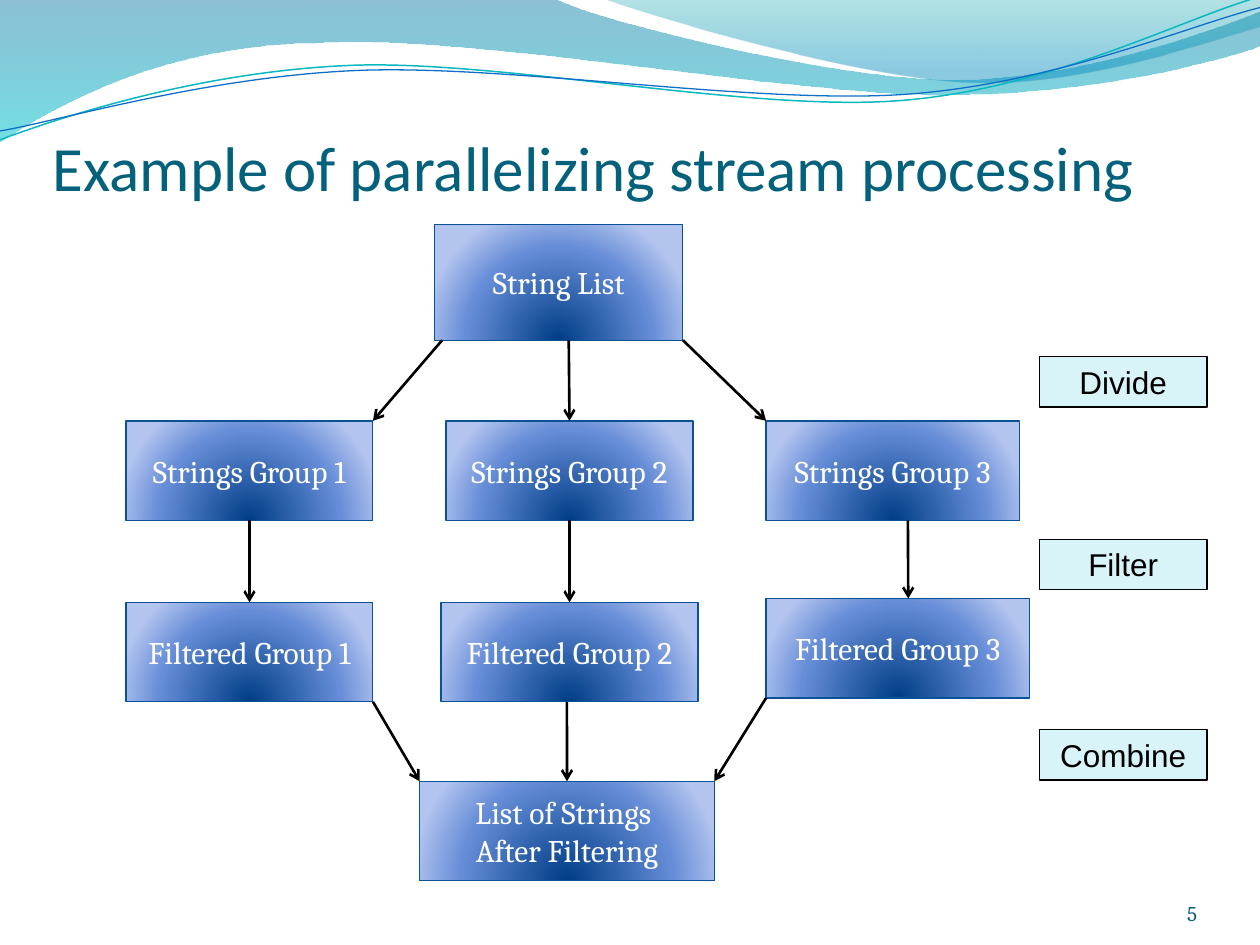
from lxml import etree
from pptx import Presentation
from pptx.dml.color import RGBColor
from pptx.enum.shapes import MSO_CONNECTOR, MSO_SHAPE
from pptx.enum.text import MSO_ANCHOR, PP_ALIGN
from pptx.oxml.ns import qn
from pptx.util import Inches, Pt

RECT, STRAIGHT = MSO_SHAPE.RECTANGLE, MSO_CONNECTOR.STRAIGHT
LEFT, CENTER, RIGHT = PP_ALIGN.LEFT, PP_ALIGN.CENTER, PP_ALIGN.RIGHT
TOP, MIDDLE, BOTTOM = MSO_ANCHOR.TOP, MSO_ANCHOR.MIDDLE, MSO_ANCHOR.BOTTOM

WIDTH, HEIGHT = Inches(10), Inches(7.5)
COLUMNS = 10
CELL = WIDTH // COLUMNS

NODE_STOPS = [(0, "003D87", 100), (68, "668DD7", 100), (100, "B3C4EF", 100)]

WAVES = [
    dict(points=[(0, -0.01), (4.4, -0.01), (4.76, 0.17, 6.64, 0.63, 7.58, 0.63),
                 (8.53, 0.63, 9.58, 0.26, 10, 0.09), (10.01, 0.36),
                 (9.83, 0.44, 8.7, 0.76, 7.46, 0.75),
                 (6.22, 0.75, 3.82, 0.28, 2.57, 0.34),
                 (1.29, 0.35, 0.46, 0.83, -0.01, 1.13)],
         stops=[(0, "0074A1", 45), (100, "00C6CF", 55)]),
    dict(points=[(4.79, -0.01), (5.09, 0.11, 6.82, 0.62, 7.69, 0.65),
                 (8.56, 0.69, 9.61, 0.32, 10, 0.21), (10, 0)],
         stops=[(0, "00A1A9", 30), (80, "008BBF", 45)]),
    dict(points=[(0, 1.11), (0.48, 0.93, 1.58, 0.57, 2.77, 0.52),
                 (3.95, 0.47, 5.93, 0.89, 7.13, 0.8),
                 (8.33, 0.71, 9.38, 0.15, 9.98, -0.02)],
         color="0AB8BF", weight=0.85),
    dict(points=[(0, 1.04), (0.47, 0.96, 1.64, 0.61, 2.83, 0.56),
                 (4.03, 0.51, 5.97, 0.83, 7.17, 0.75),
                 (8.36, 0.67, 9.41, 0.21, 10, 0.06)],
         color="0F6FC6", weight=0.75),
]

NODES = {
    "list": ("String List", 2.45, 0, 1.97, 0.92),
    "group1": ("Strings Group 1", 0, 1.56, 1.96, 0.79),
    "group2": ("Strings Group 2", 2.54, 1.56, 1.96, 0.79),
    "group3": ("Strings Group 3", 5.08, 1.56, 2.01, 0.79),
    "filtered1": ("Filtered Group 1", 0, 3, 1.96, 0.79),
    "filtered2": ("Filtered Group 2", 2.5, 3, 2.04, 0.79),
    "filtered3": ("Filtered Group 3", 5.08, 2.97, 2.09, 0.79),
    "result": ("List of Strings \nAfter Filtering", 2.33, 4.42, 2.34, 0.79),
}

ARROWS = [
    ("list", 0.03, "group1", 1), ("list", 0.54, "group2", 0.5), ("list", 1, "group3", 0),
    ("group1", 0.5, "filtered1", 0.5), ("group2", 0.5, "filtered2", 0.5),
    ("group3", 0.56, "filtered3", 0.54),
    ("filtered1", 1, "result", 0), ("filtered2", 0.49, "result", 0.5),
    ("filtered3", 0, "result", 1),
]

STEPS = [("Divide", 0), ("Filter", 1.45), ("Combine", 2.96)]


def rgb(color):
    """Turn a hex string into a colour."""
    return RGBColor.from_string(color)


def cells(*lengths):
    """Turn grid lengths into slide units."""
    return [round(n * CELL) for n in lengths]


def add_xml(parent, tag, **attrs):
    """Append a drawing element with its attributes."""
    return etree.SubElement(parent, qn(tag), {k: str(v) for k, v in attrs.items()})


def set_gradient(sp, stops, radial=False):
    """Fill a shape with a downward or a radial gradient."""
    sp.fill.background()
    empty = sp.fill._xPr.find(qn("a:noFill"))
    grad = etree.Element(qn("a:gradFill"), rotWithShape="1")
    gs_list = add_xml(grad, "a:gsLst")
    for pos, color, alpha in stops:
        gs = add_xml(gs_list, "a:gs", pos=pos * 1000)
        add_xml(add_xml(gs, "a:srgbClr", val=color), "a:alpha", val=alpha * 1000)
    if radial:
        focus = add_xml(grad, "a:path", path="circle")
        add_xml(focus, "a:fillToRect", l=50000, t=130000, r=50000, b=-30000)
    else:
        add_xml(grad, "a:lin", ang=5400000, scaled=1)
    empty.getparent().replace(empty, grad)


def set_line(sp, color, weight):
    """Draw an outline in one colour and weight."""
    sp.line.color.rgb = rgb(color)
    sp.line.width = Pt(weight)


def write(sp, text, size=18, font="Cambria", color="FFFFFF", align=CENTER,
          anchor=MIDDLE, insets=(0.1, 0.05, 0.1, 0.05)):
    """Write text into a shape, one paragraph a line."""
    tf = sp.text_frame
    tf.word_wrap = True
    tf.vertical_anchor = anchor
    tf.margin_left, tf.margin_top, tf.margin_right, tf.margin_bottom = map(Inches, insets)
    for i, line in enumerate(text.split("\n")):
        p = tf.add_paragraph() if i else tf.paragraphs[0]
        p.alignment = align
        r = p.add_run()
        r.text = line
        r.font.size, r.font.name = Pt(size), font
        r.font.color.rgb = rgb(color)


def bend(sp, points):
    """Merge the three segments of each six-number point into one Bezier curve."""
    segments = iter(sp._element.findall(".//" + qn("a:lnTo")))
    for point in points[1:]:
        first = next(segments)
        if len(point) == 2:
            continue
        curve = etree.Element(qn("a:cubicBezTo"))
        first.addprevious(curve)
        for segment in (first, next(segments), next(segments)):
            curve.append(segment[0])
            segment.getparent().remove(segment)


def add_waves(slide, left, top):
    """Draw the waves along the top edge."""
    for wave in WAVES:
        outline = [cells(left + point[i], top + point[i + 1])
                   for point in wave["points"] for i in range(0, len(point), 2)]
        builder = slide.shapes.build_freeform(*outline[0])
        builder.add_line_segments(outline[1:], close="stops" in wave)
        sp = builder.convert_to_shape()
        bend(sp, wave["points"])
        sp.shadow.inherit = False
        if "stops" in wave:
            set_gradient(sp, wave["stops"])
            sp.line.fill.background()
        else:
            sp.fill.background()
            set_line(sp, wave["color"], wave["weight"])


def add_label(slide, box, text, **fmt):
    """Place a text box without side insets."""
    write(slide.shapes.add_textbox(*cells(*box)), text, anchor=BOTTOM, **fmt)


def add_rect(slide, box):
    """Place a rectangle without a shadow."""
    sp = slide.shapes.add_shape(RECT, *cells(*box))
    sp.shadow.inherit = False
    return sp


def add_arrow(slide, source, start, target, end):
    """Join a bottom edge to a top edge at shares of their widths."""
    line = slide.shapes.add_connector(
        STRAIGHT, round(source.left + start * source.width), source.top + source.height,
        round(target.left + end * target.width), target.top)
    if start == 0.5:
        line.begin_connect(source, 2)
    if end == 0.5:
        line.end_connect(target, 0)
    set_line(line, "000000", 1.5)
    add_xml(line.line._get_or_add_ln(), "a:tailEnd", type="arrow")
    add_xml(line._element.spPr, "a:effectLst")


def add_flow(slide, left, top):
    """Draw the nodes of the stream and the arrows between them."""
    nodes = {}
    for name, (text, x, y, w, h) in NODES.items():
        sp = nodes[name] = add_rect(slide, (left + x, top + y, w, h))
        set_gradient(sp, NODE_STOPS, radial=True)
        set_line(sp, "095295", 0.75)
        write(sp, text)
    for source, start, target, end in ARROWS:
        add_arrow(slide, nodes[source], start, nodes[target], end)


def add_steps(slide, left, top, width, height):
    """Draw the step names beside the flow."""
    for text, y in STEPS:
        sp = add_rect(slide, (left, top + y, width, height))
        sp.fill.solid()
        sp.fill.fore_color.rgb = rgb("77D9E8")
        add_xml(sp.fill._xPr.find(".//" + qn("a:srgbClr")), "a:alpha", val=28000)
        set_line(sp, "000000", 0.75)
        write(sp, text, font="Arial", color="000000", anchor=TOP)


def main():
    """Build the slide and save it."""
    prs = Presentation()
    prs.slide_width, prs.slide_height = WIDTH, HEIGHT
    slide = prs.slides.add_slide(prs.slide_layouts[6])
    add_waves(slide, 0, 0)
    add_label(slide, (0.42, 0.67, 9, 1.25), "Example of parallelizing stream processing",
              size=36, font="Calibri", color="04617B", align=LEFT, insets=(0, 0.05, 0, 0.3))
    add_label(slide, (8.67, 6.95, 0.83, 0.4), "5",
              size=12, color="045D75", align=RIGHT, insets=(0, 0, 0, 0))
    add_flow(slide, 1, 1.78)
    add_steps(slide, 8.25, 2.83, 1.33, 0.4)
    prs.save("out.pptx")


if __name__ == "__main__":
    main()
